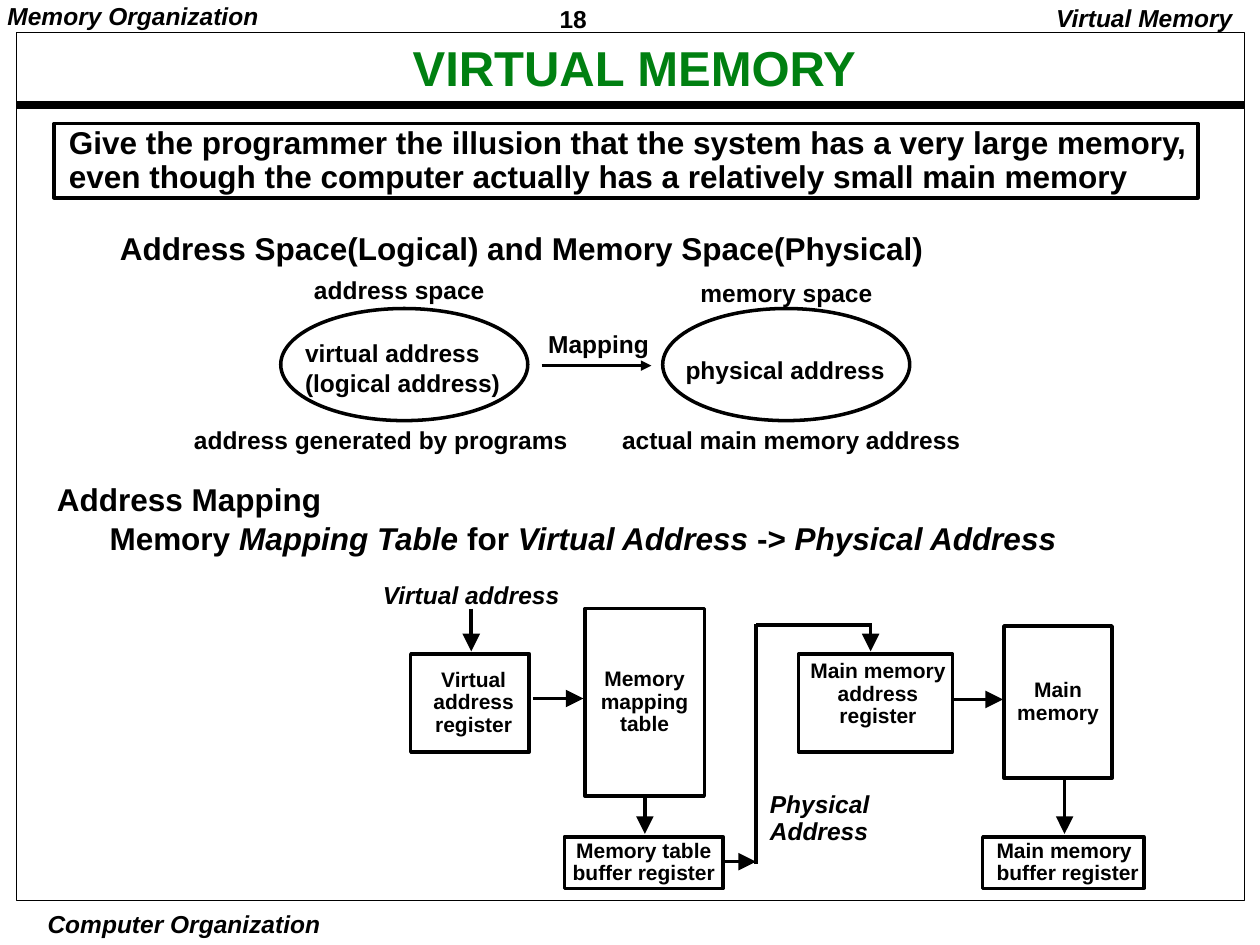
"""Build the virtual memory slide with its mapping diagrams."""
from dataclasses import dataclass

import pptx
import pptx.dml.color
import pptx.enum.shapes
import pptx.enum.text
import pptx.oxml
import pptx.oxml.ns
import pptx.util
from pptx.util import Cm

BLACK = pptx.dml.color.RGBColor(0x00, 0x00, 0x00)
GREEN = pptx.dml.color.RGBColor(0x00, 0x80, 0x11)
FONT = "Arial"
ALIGN = pptx.enum.text.PP_ALIGN
ANCHOR = pptx.enum.text.MSO_ANCHOR
SHAPE = pptx.enum.shapes.MSO_SHAPE


@dataclass
class Label:
    text: str
    left: float
    top: float
    width: float
    height: float
    size: float = 14
    italic: bool = False
    spacing: float = 0.97
    align: ALIGN = ALIGN.LEFT
    inset_x: float = 0.18
    inset_y: float = 0.08


@dataclass
class Box:
    left: float
    top: float
    width: float
    height: float
    text: str = ""
    kind: SHAPE = SHAPE.RECTANGLE
    line: float = 2
    size: float = 12
    align: ALIGN = ALIGN.CENTER
    anchor: ANCHOR = ANCHOR.MIDDLE
    inset_left: float = 0
    inset_top: float = 0


@dataclass
class Line:
    start: tuple[float, float]
    end: tuple[float, float]
    head: str = ""
    width: float = 2


LABELS = [
    Label("18", 11.1, 0, 2.74, 0.74, spacing=1.01),
    Label("Memory Organization", -0.03, 0, 5.9, 0.69, italic=True, spacing=0.9),
    Label("Virtual Memory", 20.61, 0, 4.49, 0.79, italic=True, spacing=0.9,
          align=ALIGN.RIGHT, inset_x=0.25, inset_y=0.13),
    Label("Computer Organization", 0.59, 18.29, 6.24, 0.66, italic=True, spacing=1,
          align=ALIGN.CENTER, inset_x=0.08, inset_y=0.03),
    Label("Address Space(Logical) and Memory Space(Physical)", 2.24, 4.52, 17.1, 0.91,
          size=18, spacing=1.02),
    Label("address space", 6.15, 5.49, 4.3, 0.71),
    Label("memory space", 13.94, 5.56, 4.3, 0.71),
    Label("virtual address\n(logical address)", 5.97, 6.73, 4.8, 1.35, spacing=1.01),
    Label("physical address", 13.64, 7.11, 4.9, 0.71),
    Label("Mapping", 10.87, 6.58, 2.9, 0.71),
    Label("address generated by programs", 3.73, 8.53, 8.4, 0.71),
    Label("actual main memory address", 12.36, 8.53, 7.7, 0.71),
    Label("Virtual address", 7.47, 11.63, 4.5, 0.79, italic=True, spacing=0.9,
          inset_x=0.25, inset_y=0.13),
    Label("Physical\nAddress", 15.27, 15.85, 3, 1.32, italic=True, spacing=0.9,
          inset_x=0.25, inset_y=0.13),
]
MAPPING = Label("Address Mapping\nMemory Mapping Table for Virtual Address -> Physical Address",
                0.97, 9.6, 21.1, 1.68, size=18, spacing=1.01)
MAPPING_RUNS = ["Memory ", "Mapping Table", " for ", "Virtual Address", " -> ",
                "Physical Address"]

BOXES = [
    Box(0.33, 0.66, 24.76, 17.5, line=0.5),
    Box(1.09, 2.49, 23.06, 1.5,
        "Give the programmer the illusion that the system has a very large memory,\n"
        "even though the computer actually has a relatively small main memory",
        size=18, align=ALIGN.LEFT, anchor=ANCHOR.TOP, inset_left=0.3, inset_top=0.08),
    Box(5.66, 6.22, 4.98, 2.26, kind=SHAPE.OVAL),
    Box(13.36, 6.22, 4.98, 2.26, kind=SHAPE.OVAL),
    Box(8.28, 13.18, 2.39, 1.98, "Virtual\naddress\nregister", inset_left=0.15),
    Box(11.79, 12.27, 2.41, 3.78, "Memory\nmapping\ntable"),
    Box(11.38, 16.87, 3.2, 1.04, "Memory table\nbuffer register"),
    Box(16.1, 13.18, 3.1, 1.98, "Main memory\naddress\nregister",
        anchor=ANCHOR.TOP, inset_left=0.1, inset_top=0.13),
    Box(20.24, 12.62, 2.18, 3.07, "Main\nmemory"),
    Box(19.81, 16.87, 3.25, 1.04, "Main memory\nbuffer register",
        align=ALIGN.LEFT, inset_left=0.28),
]

LINES = [
    Line((0.33, 2.11), (25.07, 2.11), width=4.5),
    Line((10.92, 7.37), (13.13, 7.37), "med"),
    Line((9.5, 12.27), (9.5, 13.13), "lg"),
    Line((10.74, 14.08), (11.76, 14.08), "lg"),
    Line((13, 16.08), (13, 16.81), "lg"),
    Line((14.6, 17.37), (15.24, 17.37), "lg"),
    Line((15.24, 17.42), (15.24, 12.57)),
    Line((15.24, 12.6), (17.58, 12.6)),
    Line((17.55, 12.62), (17.55, 13.13), "lg"),
    Line((19.2, 14.1), (20.22, 14.1), "lg"),
    Line((21.46, 15.72), (21.46, 16.81), "lg"),
]


def format_text(frame, size: float, align: ALIGN, spacing: float,
                italic: bool = False, color=BLACK) -> None:
    """Apply one style to every run in a text frame."""
    for paragraph in frame.paragraphs:
        paragraph.alignment = align
        paragraph.line_spacing = spacing
        for run in paragraph.runs:
            run.font.name = FONT
            run.font.size = pptx.util.Pt(size)
            run.font.bold = True
            run.font.italic = italic
            run.font.color.rgb = color


def set_insets(frame, left: float, top: float, right: float, bottom: float) -> None:
    """Set the four text margins in centimetres."""
    frame.margin_left, frame.margin_top = Cm(left), Cm(top)
    frame.margin_right, frame.margin_bottom = Cm(right), Cm(bottom)


def add_label(slide, label: Label):
    """Add a text box without wrapping and return its frame."""
    shape = slide.shapes.add_textbox(
        Cm(label.left), Cm(label.top), Cm(label.width), Cm(label.height))
    frame = shape.text_frame
    frame.text = label.text
    frame.word_wrap = False
    frame.auto_size = pptx.enum.text.MSO_AUTO_SIZE.SHAPE_TO_FIT_TEXT
    set_insets(frame, label.inset_x, label.inset_y, label.inset_x, label.inset_y)
    format_text(frame, label.size, label.align, label.spacing, label.italic)
    return frame


def add_box(slide, box: Box) -> None:
    """Add an outlined shape with optional text."""
    shape = slide.shapes.add_shape(
        box.kind, Cm(box.left), Cm(box.top), Cm(box.width), Cm(box.height))
    shape.shadow.inherit = False
    shape.fill.background()
    shape.line.color.rgb = BLACK
    shape.line.width = pptx.util.Pt(box.line)
    if box.text:
        frame = shape.text_frame
        frame.text = box.text
        frame.word_wrap = True
        frame.vertical_anchor = box.anchor
        set_insets(frame, box.inset_left, box.inset_top, 0, 0)
        format_text(frame, box.size, box.align, 0.9)


def add_line(slide, line: Line) -> None:
    """Add a straight line with an optional arrowhead."""
    connector = slide.shapes.add_connector(
        pptx.enum.shapes.MSO_CONNECTOR.STRAIGHT,
        *(Cm(value) for value in line.start + line.end))
    connector.line.color.rgb = BLACK
    connector.line.width = pptx.util.Pt(line.width)
    properties = connector._element.spPr
    if line.head:
        tail = pptx.oxml.parse_xml(
            f'<a:tailEnd {pptx.oxml.ns.nsdecls("a")} type="triangle" '
            f'w="{line.head}" len="{line.head}"/>')
        connector.line._get_or_add_ln().append(tail)
    properties.append(pptx.oxml.parse_xml(
        f'<a:effectLst {pptx.oxml.ns.nsdecls("a")}/>'))


def add_title(slide) -> None:
    """Place and format the slide title."""
    title = slide.shapes.title
    title.left, title.top, title.width, title.height = Cm(1.47), Cm(0.69), Cm(22.63), Cm(1.45)
    title.text_frame.text = "VIRTUAL MEMORY"
    title.text_frame.vertical_anchor = ANCHOR.MIDDLE
    set_insets(title.text_frame, 0.18, 0.08, 0.18, 0.08)
    format_text(title.text_frame, 28, ALIGN.CENTER, 0.9, color=GREEN)


def add_mapping(slide) -> None:
    """Add the address mapping heading and its indented line."""
    frame = add_label(slide, MAPPING)
    paragraph = frame.paragraphs[1]
    paragraph.text = ""
    paragraph._p.get_or_add_pPr().set("marL", str(Cm(1.06)))
    for text in MAPPING_RUNS:
        paragraph.add_run().text = text
    format_text(frame, MAPPING.size, MAPPING.align, MAPPING.spacing)
    for run in paragraph.runs[1::2]:
        run.font.italic = True


def main() -> None:
    """Create and save the presentation."""
    presentation = pptx.Presentation()
    presentation.slide_width, presentation.slide_height = Cm(25.4), Cm(19.05)
    slide = presentation.slides.add_slide(presentation.slide_layouts[5])
    add_title(slide)
    for items, draw in ((BOXES, add_box), (LINES, add_line), (LABELS, add_label)):
        for item in items:
            draw(slide, item)
    add_mapping(slide)
    presentation.save("out.pptx")


if __name__ == "__main__":
    main()
